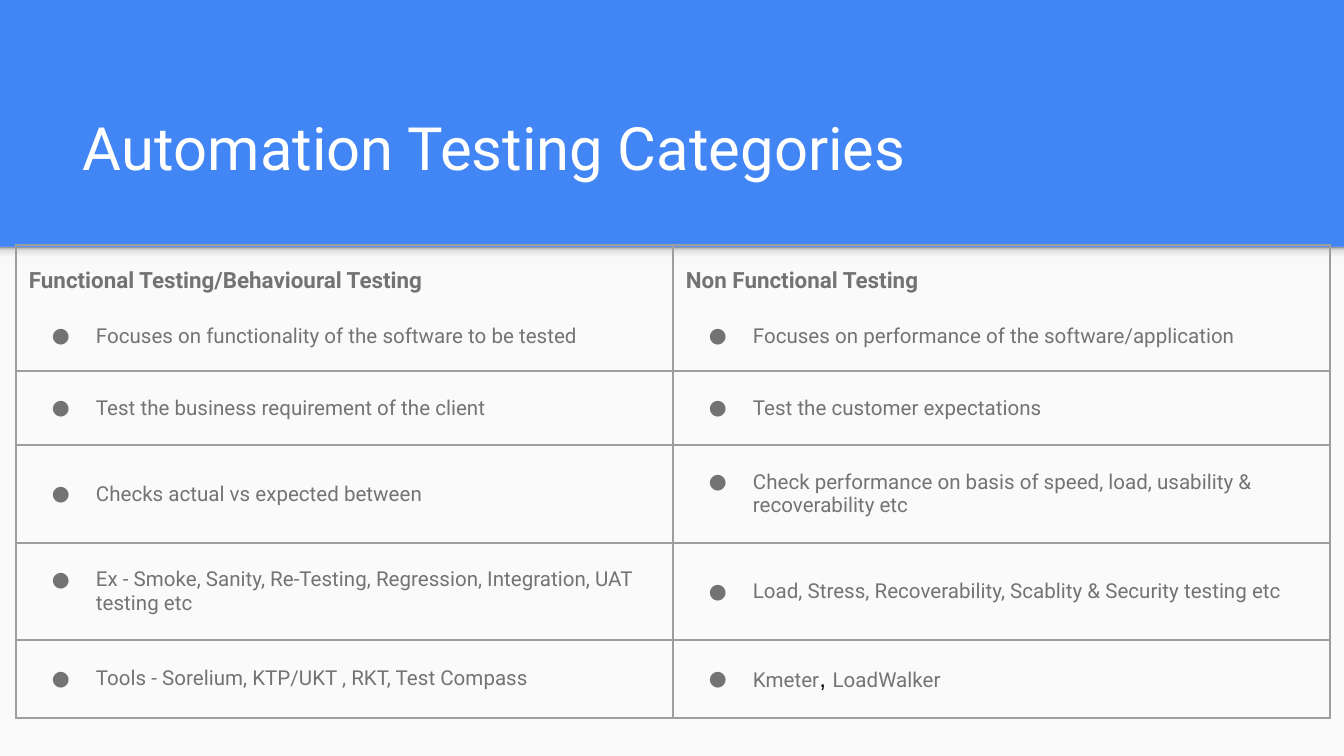
from lxml import etree
from pptx import Presentation
from pptx.dml.color import RGBColor
from pptx.enum.shapes import MSO_SHAPE
from pptx.enum.text import MSO_ANCHOR
from pptx.oxml import parse_xml
from pptx.oxml.ns import nsdecls, qn
from pptx.util import Pt

RECTANGLE = MSO_SHAPE.RECTANGLE
MIDDLE, BOTTOM = MSO_ANCHOR.MIDDLE, MSO_ANCHOR.BOTTOM

# Content
TITLE = "Automation Testing Categories"
HEADINGS = ("Functional Testing/Behavioural Testing", "Non Functional Testing")
COMPARISON = [
    ("Focuses on functionality of the software to be tested",
     "Focuses on performance of the software/application"),
    ("Test the business requirement of the client",
     "Test the customer expectations"),
    ("Checks actual vs expected between",
     "Check performance on basis of speed, load, usability & recoverability etc"),
    ("Ex - Smoke, Sanity, Re-Testing, Regression, Integration, UAT testing etc",
     "Load, Stress, Recoverability, Scablity & Security testing etc"),
    ("Tools - Sorelium, KTP/UKT , RKT, Test Compass",
     ("Kmeter", ", ", "LoadWalker")),
]
ROW_HEIGHTS = (126, 74, 98, 97, 78)
COLUMN_WIDTH = 657
INSET = 13
COLORS = {"blue": "4285F4", "paper": "FAFAFA", "white": "FFFFFF",
          "text": "737373", "border": "9E9E9E", "comma": "000000"}
SHADOW_STOPS = [(0, "F9F9F9"), (36, "F9F9F9"), (80, "DEDEDE"), (100, "999999")]
FONT = "Roboto"


def px(pixels):
    return round(pixels * 914400 / 134.4)


def style(run, size, color="text", font=FONT, bold=False):
    run.font.size, run.font.name, run.font.bold = Pt(size), font, bold
    run.font.color.rgb = RGBColor.from_string(COLORS[color])


def add_panel(left, top, width, height):
    panel = slide.shapes.add_shape(RECTANGLE, px(left), px(top), px(width), px(height))
    panel.shadow.inherit = False
    panel.line.fill.background()
    panel.fill.solid()
    panel.fill.fore_color.rgb = RGBColor.from_string(COLORS["paper"])
    return panel


def add_bullet(paragraph):
    props = paragraph._p.get_or_add_pPr()
    props.set("marL", str(px(67)))
    props.set("indent", str(px(-44)))
    color = etree.SubElement(props, qn("a:buClr"))
    etree.SubElement(color, qn("a:srgbClr"), val=COLORS["text"])
    etree.SubElement(props, qn("a:buFont"), typeface=FONT)
    etree.SubElement(props, qn("a:buChar"), char="●")


def add_borders(cell):
    props = cell._tc.get_or_add_tcPr()
    for index, side in enumerate("LRTB"):
        props.insert(index, parse_xml(
            f'<a:ln{side} {nsdecls("a")} w="{Pt(0.75)}"><a:solidFill>'
            f'<a:srgbClr val="{COLORS["border"]}"/></a:solidFill></a:ln{side}>'))


presentation = Presentation()
presentation.slide_width, presentation.slide_height = px(1344), px(756)
slide = presentation.slides.add_slide(presentation.slide_layouts[6])
slide.background.fill.solid()
slide.background.fill.fore_color.rgb = RGBColor.from_string(COLORS["blue"])

# Light body with a soft shadow under the blue header
add_panel(0, 247, 1344, 509)
header_shadow = add_panel(0, 247, 1344, 16)
header_shadow.fill.gradient()
header_shadow.fill.gradient_angle = 90
stops = header_shadow._element.spPr.find(qn("a:gradFill")).find(qn("a:gsLst"))
for stop in list(stops):
    stops.remove(stop)
for position, color in SHADOW_STOPS:
    stop = etree.SubElement(stops, qn("a:gs"), pos=str(position * 1000))
    etree.SubElement(stop, qn("a:srgbClr"), val=color)

# Title
title = slide.shapes.add_textbox(px(70), px(63), px(1208), px(182)).text_frame
title.word_wrap = True
title.vertical_anchor = BOTTOM
title.margin_left = title.margin_right = title.margin_top = px(INSET)
title.margin_bottom = px(67)
title.text = TITLE
style(title.paragraphs[0].runs[0], 32, "white")

# Comparison table
table = slide.shapes.add_table(
    len(COMPARISON), len(HEADINGS), px(16), px(245),
    px(COLUMN_WIDTH * len(HEADINGS)), px(sum(ROW_HEIGHTS))).table
table.first_row = table.horz_banding = False
for column in table.columns:
    column.width = px(COLUMN_WIDTH)

for r, points in enumerate(COMPARISON):
    table.rows[r].height = px(ROW_HEIGHTS[r])
    for c, point in enumerate(points):
        cell = table.cell(r, c)
        cell.fill.background()
        add_borders(cell)
        cell.vertical_anchor = MIDDLE
        cell.margin_left = cell.margin_right = px(INSET)
        cell.margin_top = cell.margin_bottom = px(INSET)
        paragraph = cell.text_frame.paragraphs[0]
        if r == 0:
            paragraph.text = HEADINGS[c]
            style(paragraph.runs[0], 12, bold=True)
            paragraph = cell.text_frame.add_paragraph()
            paragraph.space_before = Pt(16)
        add_bullet(paragraph)
        for piece in (point,) if isinstance(point, str) else point:
            run = paragraph.add_run()
            run.text = piece
            if piece == ", ":
                style(run, 13, "comma", "Arial")
            else:
                style(run, 11)

presentation.save("out.pptx")
